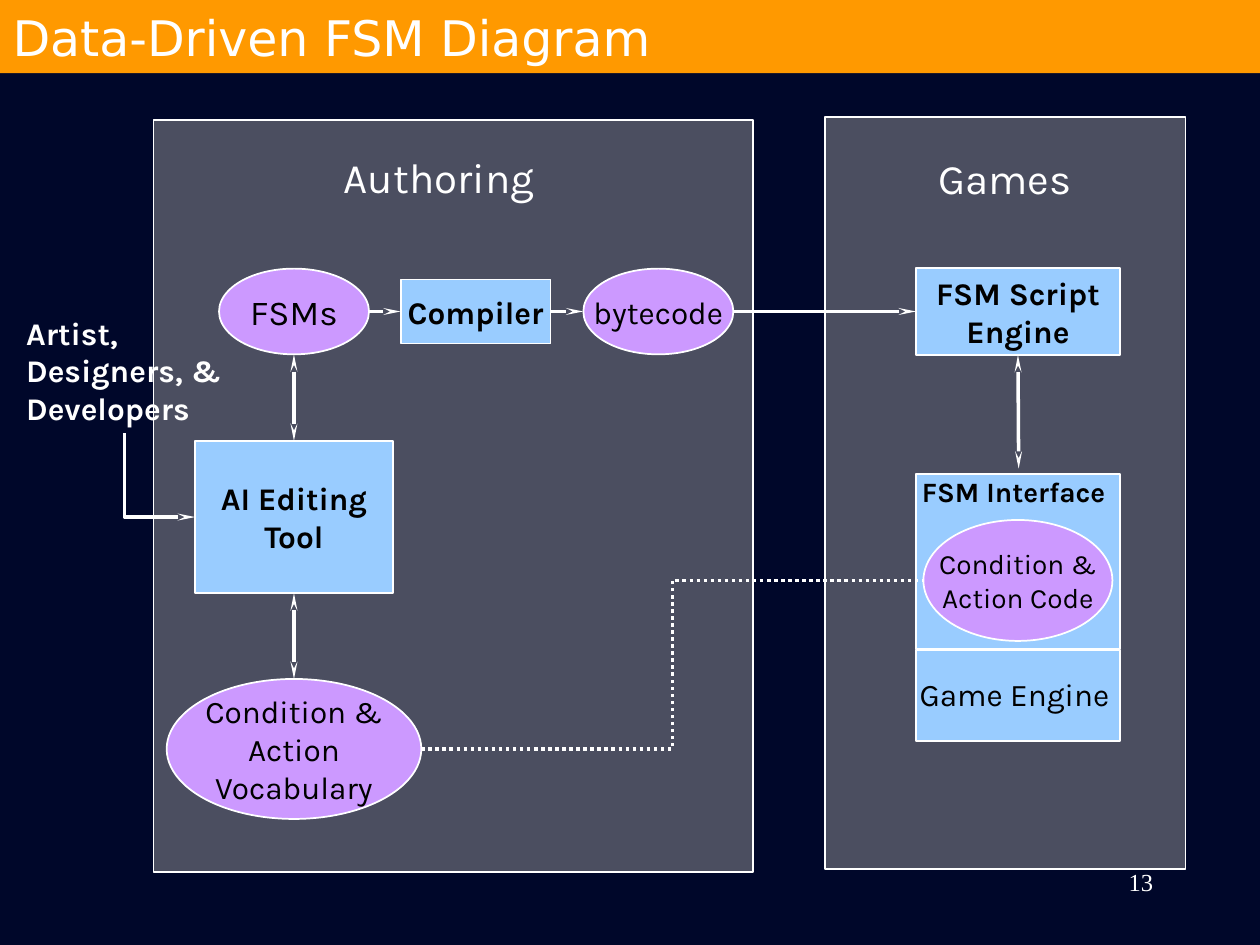
import pptx
import pptx.util
import pptx.dml.color
import pptx.enum.dml
import pptx.enum.shapes
import pptx.enum.text
import pptx.oxml.ns
import pptx.oxml.xmlchemy

Pt = pptx.util.Pt
KIND = pptx.enum.shapes.MSO_SHAPE
WIRE = pptx.enum.shapes.MSO_CONNECTOR
ALIGN = pptx.enum.text.PP_ALIGN
MIDDLE = pptx.enum.text.MSO_ANCHOR.MIDDLE
TOP, LEFT, BOTTOM, RIGHT = range(4)
FONT = "Karla"
COLORS = {
    "night": "00072A",
    "bar": "FF9900",
    "panel": "969696",
    "box": "99CCFF",
    "oval": "CC99FF",
    "white": "FFFFFF",
    "black": "000000",
}


def shade(name):
    return pptx.dml.color.RGBColor.from_string(COLORS[name])


def paint(fill, name):
    fill.solid()
    fill.fore_color.rgb = shade(name)


def tag(parent, name, **attrs):
    item = pptx.oxml.xmlchemy.OxmlElement(name)
    for key, value in attrs.items():
        item.set(key, value)
    parent.append(item)


def write(frame, lines, size, color, bold=False, align=ALIGN.LEFT, font=FONT):
    for index, line in enumerate(lines):
        para = frame.add_paragraph() if index else frame.paragraphs[0]
        para.alignment = align
        run = para.add_run()
        run.text = line
        run.font.size = Pt(size)
        run.font.name = font
        run.font.bold = bold
        run.font.color.rgb = shade(color)


def add_title(slide, text):
    title = slide.shapes.title
    title.left, title.top, title.width, title.height = Pt(0), Pt(0), Pt(720), Pt(41.8)
    paint(title.fill, "bar")
    title.text_frame.vertical_anchor = MIDDLE
    write(title.text_frame, [text], 28, "white", font="DejaVu Sans")


def add_shape(slide, kind, left, top, width, height, color):
    shape = slide.shapes.add_shape(kind, Pt(left), Pt(top), Pt(width), Pt(height))
    shape.shadow.inherit = False
    paint(shape.fill, color)
    paint(shape.line.fill, "white")
    shape.line.width = Pt(1)
    return shape


def add_panel(slide, left, top, width, height):
    panel = add_shape(slide, KIND.RECTANGLE, left, top, width, height, "panel")
    color = panel.element.spPr.find(".//" + pptx.oxml.ns.qn("a:srgbClr"))
    tag(color, "a:alpha", val="50000")


def add_node(slide, kind, mid, width, height, lines=(), size=18):
    boxy = kind == KIND.RECTANGLE
    left, top = mid[0] - width / 2, mid[1] - height / 2
    node = add_shape(slide, kind, left, top, width, height, "box" if boxy else "oval")
    node.text_frame.word_wrap = False
    node.text_frame.vertical_anchor = MIDDLE
    write(node.text_frame, lines, size, "black", boxy, ALIGN.CENTER)
    return node


def add_label(slide, left, top, width, height, lines, size, color, bold=False, wrap=False):
    label = slide.shapes.add_textbox(Pt(left), Pt(top), Pt(width), Pt(height))
    label.text_frame.word_wrap = wrap
    label.text_frame.auto_size = pptx.enum.text.MSO_AUTO_SIZE.SHAPE_TO_FIT_TEXT
    write(label.text_frame, lines, size, color, bold)
    return label


def add_page(slide, text):
    page = slide.shapes.add_textbox(Pt(516.2), Pt(491.8), Pt(149.8), Pt(36))
    page.text_frame.word_wrap = True
    write(page.text_frame, [text], 14, "white", align=ALIGN.RIGHT, font="Times New Roman")
    page.text_frame.paragraphs[0].space_before = Pt(8.8)


def find_side(shape, side):
    across = {LEFT: 0, RIGHT: 2}.get(side, 1)
    down = {TOP: 0, BOTTOM: 2}.get(side, 1)
    return shape.left + shape.width * across // 2, shape.top + shape.height * down // 2


def find_part(shape, name):
    return shape.element.spPr.find(pptx.oxml.ns.qn(name))


def is_rect(shape):
    return find_part(shape, "a:prstGeom").get("prst") == "rect"


def add_link(slide, start, end, kind=WIRE.STRAIGHT, heads=("tail",), dots=False):
    link = slide.shapes.add_connector(kind, *find_side(*start), *find_side(*end))
    if is_rect(start[0]):
        link.begin_connect(*start)
    if is_rect(end[0]):
        link.end_connect(*end)
    paint(link.line.fill, "white")
    link.line.width = Pt(2)
    if dots:
        link.line.dash_style = pptx.enum.dml.MSO_LINE.ROUND_DOT
    for head in heads:
        tag(find_part(link, "a:ln"), f"a:{head}End", type="stealth", w="sm", len="lg")
    tag(link.element.spPr, "a:effectLst")
    return link


def turn_down(link):
    width, height = link.width, link.height
    link.left += (width - height) // 2
    link.top += (height - width) // 2
    link.width, link.height = height, width
    frame = find_part(link, "a:xfrm")
    frame.set("rot", "16200000")
    frame.set("flipH", "1")
    find_part(link, "a:prstGeom").set("prst", "bentConnector2")


def main():
    deck = pptx.Presentation()
    deck.slide_width, deck.slide_height = Pt(720), Pt(540)
    slide = deck.slides.add_slide(deck.slide_layouts[5])
    paint(slide.background.fill, "night")
    add_title(slide, "Data-Driven FSM Diagram")
    add_page(slide, "13")

    box, oval = KIND.RECTANGLE, KIND.OVAL
    tool_x, game_x, row_y = 168, 581.7, 178
    both = ("head", "tail")

    add_panel(slide, 87.8, 68.4, 342.7, 429.8)
    add_label(slide, 189.4, 82.8, 128.2, 36, ["Authoring"], 24, "white")
    fsms = add_node(slide, oval, (tool_x, row_y), 85.7, 49, ["FSMs"], 20)
    code = add_node(slide, oval, (376.2, row_y), 85.7, 49, ["bytecode"])
    maker = add_node(slide, box, (271.8, row_y), 85.7, 36.7, ["Compiler"])
    tool = add_node(slide, box, (tool_x, 295.5), 113, 87.1, ["AI Editing", "Tool"])
    words = add_node(slide, oval, (tool_x, 428), 145.5, 80,
                     ["Condition &", "Action", "Vocabulary"])

    add_panel(slide, 471.6, 67, 205.9, 429.8)
    add_label(slide, 529.2, 83.5, 92.9, 36, ["Games"], 24, "white")
    engine = add_node(slide, box, (game_x, row_y), 116.6, 49.7, ["FSM Script", "Engine"])
    add_node(slide, box, (game_x, 320.8), 116.6, 100)
    add_node(slide, box, (game_x, 397.4), 116.6, 51.8)
    face = add_label(slide, 519.8, 267.8, 124.6, 26.6, ["FSM Interface"], 16, "black", True)
    acts = add_node(slide, oval, (game_x, 331.7), 108, 69.1,
                    ["Condition &", "Action Code"], 16)
    add_label(slide, 518.4, 382.3, 127.4, 28.8, ["Game Engine"], 18, "black")
    crew = add_label(slide, 7.9, 175.7, 126.7, 72,
                     ["Artist,", "Designers, &", "Developers"], 18, "white", True, True)

    add_link(slide, (fsms, BOTTOM), (tool, TOP), heads=both)
    add_link(slide, (tool, BOTTOM), (words, TOP), heads=both)
    add_link(slide, (engine, BOTTOM), (face, TOP), heads=both)
    for start, end in ((fsms, maker), (maker, code), (code, engine)):
        add_link(slide, (start, RIGHT), (end, LEFT))
    turn_down(add_link(slide, (crew, BOTTOM), (tool, LEFT), WIRE.ELBOW))
    add_link(slide, (words, RIGHT), (acts, LEFT), WIRE.ELBOW, (), True)

    deck.save("out.pptx")


if __name__ == "__main__":
    main()
